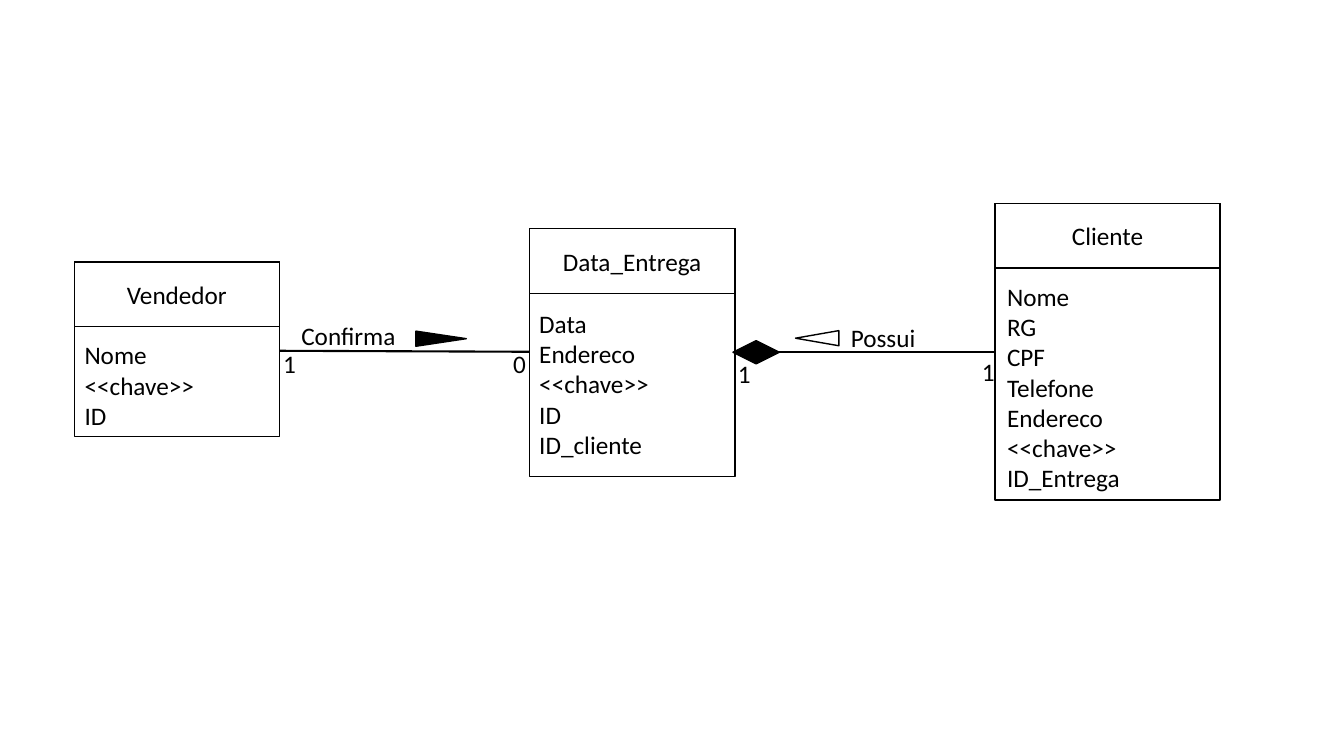
from dataclasses import dataclass
from lxml.etree import SubElement
from pptx import Presentation
from pptx.dml.color import RGBColor
from pptx.enum.shapes import MSO_CONNECTOR, MSO_SHAPE
from pptx.enum.text import MSO_ANCHOR, PP_ALIGN
from pptx.oxml.ns import qn
from pptx.util import Inches, Pt


@dataclass(frozen=True)
class Theme:
    ink: RGBColor = RGBColor(0, 0, 0)
    paper: RGBColor = RGBColor(255, 255, 255)
    font: str = "Calibri"
    size: int = 18
    edge: float = 1
    link: float = 1.5


THEME = Theme()


def write(frame, text, align=PP_ALIGN.LEFT):
    frame.word_wrap = True
    frame.text = text
    for line in frame.paragraphs:
        line.alignment = align
        for run in line.runs:
            run.font.name = THEME.font
            run.font.size = Pt(THEME.size)
            run.font.color.rgb = THEME.ink


def add_form(slide, kind, left, top, width, height, fill=THEME.paper, turn=0):
    form = slide.shapes.add_shape(
        kind, Inches(left), Inches(top), Inches(width), Inches(height))
    form.shadow.inherit = False
    form.fill.solid()
    form.fill.fore_color.rgb = fill
    form.line.color.rgb = THEME.ink
    form.line.width = Pt(THEME.edge)
    form.rotation = turn
    return form


def add_label(slide, text, left, top, width, height=0.4):
    box = slide.shapes.add_textbox(
        Inches(left), Inches(top), Inches(width), Inches(height))
    write(box.text_frame, text)


def add_class(slide, name, fields, left, top, width, height, inset=0, drop=0.72):
    add_form(slide, MSO_SHAPE.RECTANGLE, left, top, width, height)
    head = add_form(slide, MSO_SHAPE.RECTANGLE, left, top, width, 0.64)
    head.text_frame.vertical_anchor = MSO_ANCHOR.MIDDLE
    write(head.text_frame, name, PP_ALIGN.CENTER)
    tall = 0.1 + 0.3 * len(fields)
    add_label(slide, "\n".join(fields), left + inset, top + drop, width, tall)


def add_link(slide, start, end):
    link = slide.shapes.add_connector(
        MSO_CONNECTOR.STRAIGHT, *map(Inches, start + end))
    link.line.color.rgb = THEME.ink
    link.line.width = Pt(THEME.link)
    SubElement(link._element.spPr, qn("a:effectLst"))


def main():
    deck = Presentation()
    deck.slide_width = Inches(13.33)
    deck.slide_height = Inches(7.5)
    slide = deck.slides.add_slide(deck.slide_layouts[6])

    key = "<<chave>>"
    add_class(slide, "Vendedor", ["Nome", key, "ID"], 0.74, 2.6, 2.03, 1.73)
    add_class(slide, "Cliente",
              ["Nome", "RG", "CPF", "Telefone", "Endereco", key, "ID_Entrega"],
              9.87, 2.02, 2.23, 2.94, inset=0.02)
    add_class(slide, "Data_Entrega",
              ["Data", "Endereco", key, "ID", "ID_cliente"],
              5.25, 2.27, 2.04, 2.46, drop=0.74)

    add_link(slide, (2.77, 3.48), (5.25, 3.49))
    add_link(slide, (7.28, 3.49), (9.87, 3.49))
    add_form(slide, MSO_SHAPE.ISOSCELES_TRIANGLE,
             4.3, 3.11, 0.15, 0.5, THEME.ink, 90)
    add_form(slide, MSO_SHAPE.ISOSCELES_TRIANGLE,
             8.03, 3.14, 0.15, 0.43, turn=270)
    add_form(slide, MSO_SHAPE.DIAMOND, 7.27, 3.38, 0.46, 0.23, THEME.ink)

    for text, left, top, width in (
        ("Confirma", 2.89, 3.13, 1.41),
        ("Possui", 8.34, 3.15, 1.09),
        ("1", 2.71, 3.41, 0.38),
        ("0", 4.99, 3.41, 0.52),
        ("1", 7.22, 3.51, 0.38),
        ("1", 9.64, 3.49, 0.38),
    ):
        add_label(slide, text, left, top, width)

    deck.save("out.pptx")


main()
